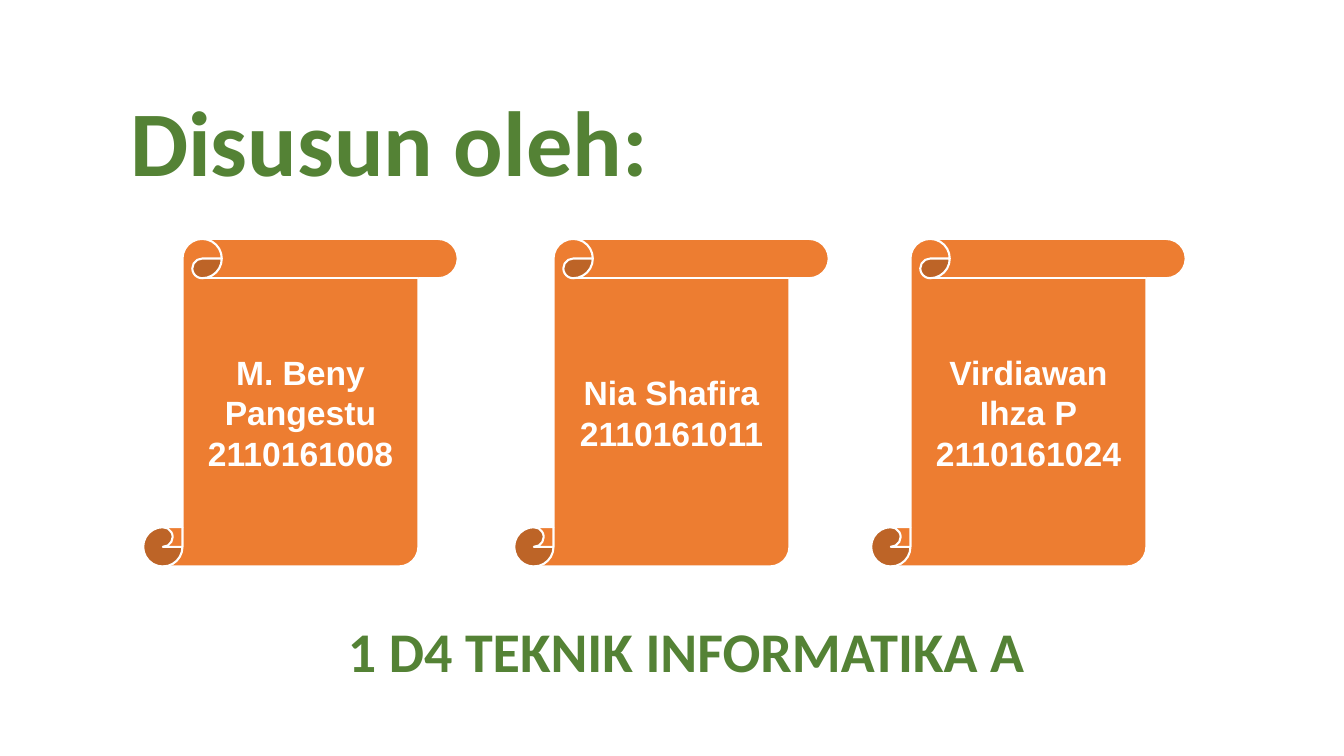
from lxml.etree import SubElement
from pptx import Presentation
from pptx.dml.color import RGBColor
from pptx.enum.shapes import MSO_SHAPE
from pptx.enum.text import MSO_ANCHOR, MSO_AUTO_SIZE, PP_ALIGN
from pptx.oxml.ns import qn
from pptx.util import Inches, Pt

GREEN, ORANGE, WHITE = "548235", "ED7D31", "FFFFFF"


def color(hex_value):
    return RGBColor.from_string(hex_value)


class CreditsSlide:
    heading_font = "Calibri"
    member_font = "Arial"

    def __init__(self, presentation):
        self.slide = presentation.slides.add_slide(presentation.slide_layouts[5])

    def set_text(self, frame, lines, font, size, hex_value, align, anchor):
        frame.word_wrap = True
        frame.auto_size = MSO_AUTO_SIZE.NONE
        frame.vertical_anchor = anchor
        frame.text = "\n".join(lines)
        for paragraph in frame.paragraphs:
            paragraph.alignment = align
            paragraph.font.name = font
            paragraph.font.size = Pt(size)
            paragraph.font.bold = True
            paragraph.font.color.rgb = color(hex_value)

    def outline(self, frame):
        """Give the letters a thin white edge."""
        for run in frame.paragraphs[0].runs:
            properties = run._r.get_or_add_rPr()
            edge = SubElement(properties, qn("a:ln"), w=str(Pt(0.75)))
            fill = SubElement(edge, qn("a:solidFill"))
            SubElement(fill, qn("a:srgbClr"), val=WHITE)

    def title(self, wording):
        heading = self.slide.shapes.title
        heading.left, heading.top = Inches(1.19), Inches(0.75)
        heading.width, heading.height = Inches(11.23), Inches(1.25)
        frame = heading.text_frame
        self.set_text(frame, [wording], self.heading_font, 66, GREEN,
                      PP_ALIGN.LEFT, MSO_ANCHOR.BOTTOM)
        frame.paragraphs[0].line_spacing = 0.9
        self.outline(frame)

    def scroll(self, left, member, student_number):
        scroll = self.slide.shapes.add_shape(
            MSO_SHAPE.VERTICAL_SCROLL,
            Inches(left), Inches(2.37), Inches(3.12), Inches(3.25))
        scroll.shadow.inherit = False
        scroll.fill.solid()
        scroll.fill.fore_color.rgb = color(ORANGE)
        scroll.line.color.rgb = color(WHITE)
        scroll.line.width = Pt(1.5)
        self.set_text(scroll.text_frame, [member, student_number],
                      self.member_font, 24, WHITE,
                      PP_ALIGN.CENTER, MSO_ANCHOR.MIDDLE)

    def class_name(self, wording):
        caption = self.slide.shapes.add_textbox(
            Inches(1.19), Inches(6), Inches(11.23), Inches(0.83))
        self.set_text(caption.text_frame, [wording], self.heading_font, 40, GREEN,
                      PP_ALIGN.CENTER, MSO_ANCHOR.BOTTOM)
        self.outline(caption.text_frame)


def main():
    presentation = Presentation()
    presentation.slide_width = Inches(13.33)
    presentation.slide_height = Inches(7.5)

    credits = CreditsSlide(presentation)
    credits.title("Disusun oleh:")
    members = [
        (1.42, "M. Beny Pangestu", "2110161008"),
        (5.1, "Nia Shafira", "2110161011"),
        (8.64, "Virdiawan Ihza P", "2110161024"),
    ]
    for left, member, student_number in members:
        credits.scroll(left, member, student_number)
    credits.class_name("1 D4 TEKNIK INFORMATIKA A")

    presentation.save("out.pptx")


if __name__ == "__main__":
    main()
